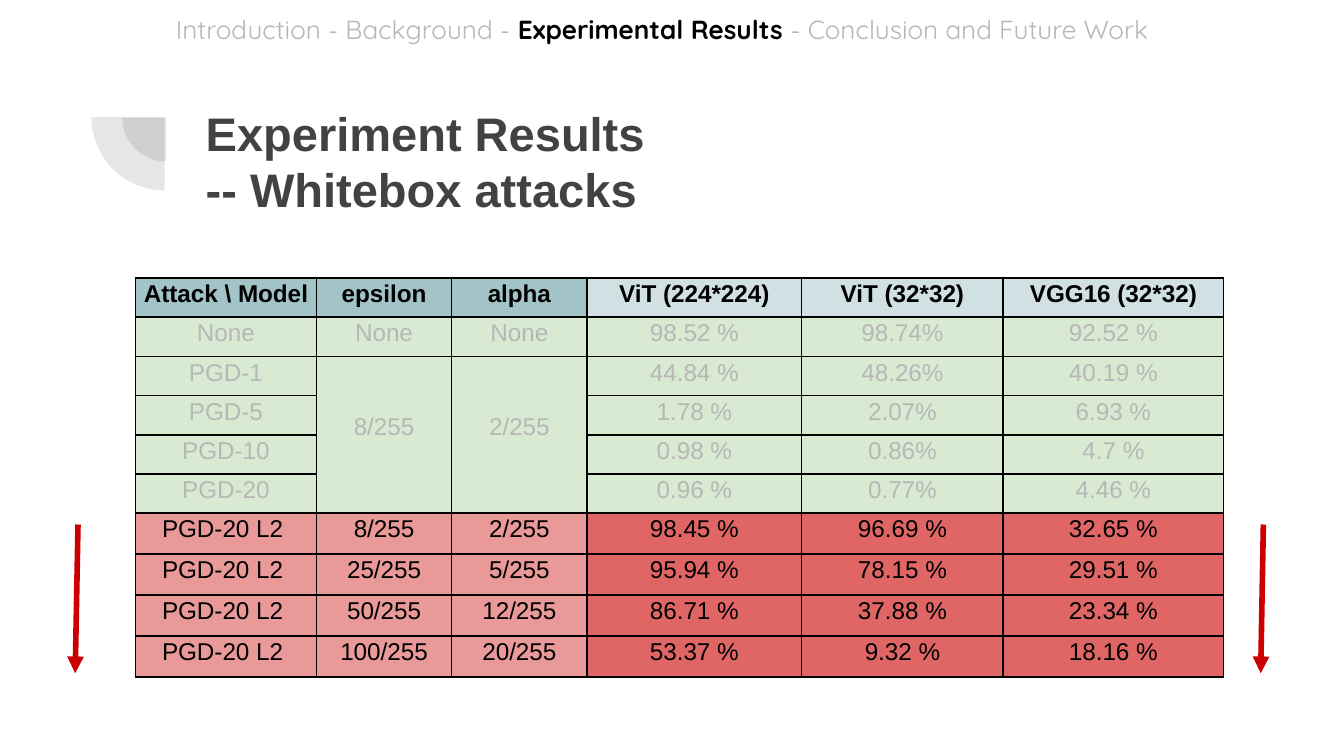
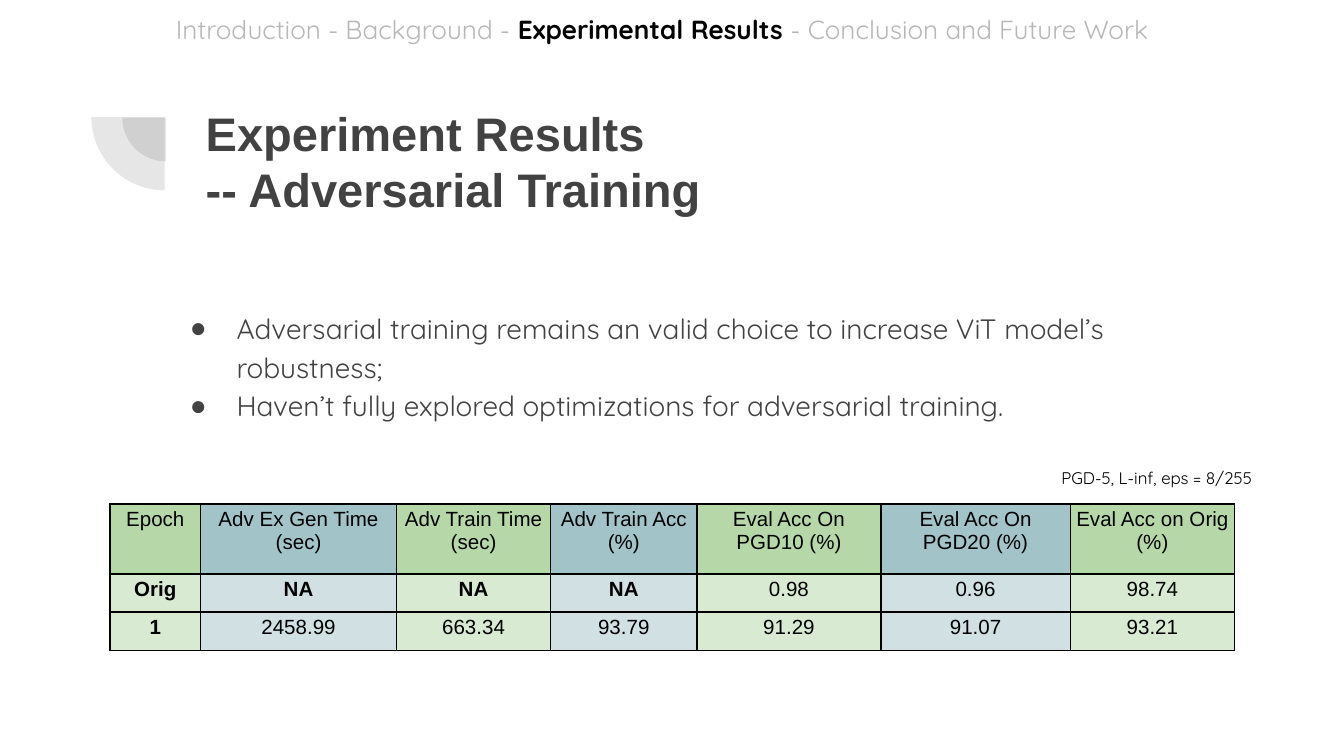
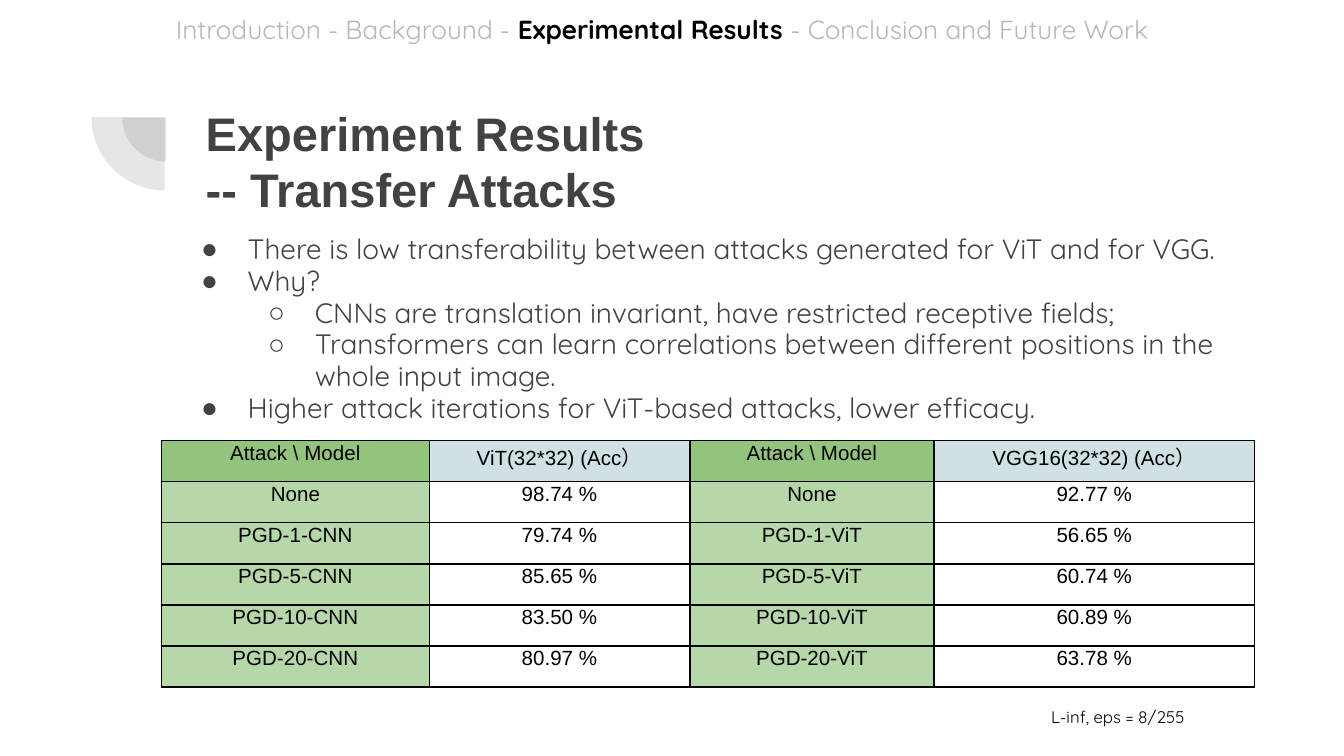
import pptx
import pptx.dml.color
import pptx.enum.shapes
import pptx.enum.text
import pptx.oxml.ns
import pptx.util
from lxml import etree

COLORS = {
    "white": "FFFFFF", "black": "000000", "charcoal": "424242", "muted": "B7B7B7",
    "teal": "A2C4C9", "mist": "D0E0E3", "sage": "D9EAD3", "leaf": "B6D7A8",
    "green": "93C47D", "pink": "EA9999", "coral": "E06666", "red": "CC0000",
}
HEADING_FONT = "Arial"
BODY_FONT = "Quicksand"
INSET = 7.2

NAVIGATION = [
    ("Introduction - Background - ", "muted", False),
    ("Experimental Results ", "black", True),
    ("- Conclusion and Future Work", "muted", False),
]
PIES = [(65.5, 39.5, 47), (49, 23.5, 78.5)]
BULLETS = ["●", "○"]

WHITEBOX_ROWS = [
    ["Attack \\ Model", "epsilon", "alpha", "ViT (224*224)", "ViT (32*32)", "VGG16 (32*32)"],
    ["None", "None", "None", "98.52 %", "98.74%", "92.52 %"],
    ["PGD-1", "8/255", "2/255", "44.84 %", "48.26%", "40.19 %"],
    ["PGD-5", "", "", "1.78 %", "2.07%", "6.93 %"],
    ["PGD-10", "", "", "0.98 %", "0.86%", "4.7 %"],
    ["PGD-20", "", "", "0.96 %", "0.77%", "4.46 %"],
    ["PGD-20 L2 ", "8/255", "2/255", "98.45 %", "96.69 %", "32.65 %"],
    ["PGD-20 L2 ", "25/255", "5/255", "95.94 %", "78.15 %", "29.51 %"],
    ["PGD-20 L2 ", "50/255", "12/255", "86.71 %", "37.88 %", "23.34 %"],
    ["PGD-20 L2 ", "100/255", "20/255", "53.37 %", "9.32 %", "18.16 %"],
]
TRAINING_ROWS = [
    ["Epoch", "Adv Ex Gen Time (sec)", "Adv Train Time (sec)", "Adv Train Acc (%)",
     "Eval Acc On PGD10 (%)", "Eval Acc On PGD20 (%)", "Eval Acc on Orig (%)"],
    ["Orig", "NA", "NA", "NA", "0.98", "0.96", "98.74"],
    ["1", "2458.99", "663.34", "93.79", "91.29", "91.07", "93.21"],
]
TRANSFER_ROWS = [
    ["Attack \\ Model", "ViT(32*32) (Acc）", "Attack \\ Model", "VGG16(32*32) (Acc）"],
    ["None", "98.74 %", "None", "92.77 %"],
    ["PGD-1-CNN", "79.74 %", "PGD-1-ViT", "56.65 %"],
    ["PGD-5-CNN", "85.65 %", "PGD-5-ViT", "60.74 %"],
    ["PGD-10-CNN", "83.50 %", "PGD-10-ViT", "60.89 %"],
    ["PGD-20-CNN", "80.97 %", "PGD-20-ViT", "63.78 %"],
]

SLIDES = [
    {
        "title": ["Experiment Results", "-- Whitebox attacks"],
        "table": {
            "rows": WHITEBOX_ROWS, "position": (72.5, 149), "size": 13, "margin": 1.5,
            "widths": [97, 72.5, 72.5, 115, 108, 118], "heights": [21] * 6 + [22] * 4,
            "fills": [["teal"] * 3 + ["mist"] * 3] + [["sage"] * 6] * 5
            + [["pink"] * 3 + ["coral"] * 3] * 4,
            "bold": WHITEBOX_ROWS[0], "muted_rows": range(1, 6),
            "merges": [(2, 1, 5, 1), (2, 2, 5, 2)],
        },
        "arrows": [(676.8, 281, 675.4, 360.7), (41.8, 281, 40.3, 360.7)],
    },
    {
        "title": ["Experiment Results", "-- Adversarial Training"],
        "body": {
            "box": (83.5, 157, 553.5, 90.5), "line_spacing": 1.15,
            "items": [
                (0, "Adversarial training remains an valid choice to increase ViT model’s robustness;"),
                (0, "Haven’t fully explored optimizations for adversarial training."),
            ],
        },
        "table": {
            "rows": TRAINING_ROWS, "position": (59, 270), "size": 11, "margin": 2.2,
            "widths": [48.5, 105, 82.5, 78.5, 98.5, 101.5, 88], "heights": [37.5, 20.5, 20.5],
            "fills": [(["leaf", "teal"] * 4)[:7]] + [(["sage", "mist"] * 4)[:7]] * 2,
            "bold": ["Orig", "NA", "1"],
        },
        "note": ("PGD-5, L-inf, eps = 8/255", 561.5, 245),
    },
    {
        "title": ["Experiment Results", "-- Transfer Attacks"],
        "body": {
            "box": (89.5, 118, 580.5, 118), "line_spacing": 0.95,
            "items": [
                (0, "There is low transferability between attacks generated for ViT and for VGG."),
                (0, "Why?"),
                (1, "CNNs are translation invariant, have restricted receptive fields;"),
                (1, "Transformers can learn correlations between different positions in the whole input image."),
                (0, "Higher attack iterations for ViT-based attacks, lower efficacy."),
            ],
        },
        "table": {
            "rows": TRANSFER_ROWS, "position": (86.5, 236), "size": 11, "margin": 0.7,
            "widths": [143.5, 139.5, 131, 171.5], "heights": [22] * 6,
            "fills": [["green", "mist"] * 2] + [["leaf", "white"] * 2] * 5,
        },
        "note": ("L-inf, eps = 8/255", 556, 373),
    },
]


def points(values):
    return [pptx.util.Pt(value) for value in values]


def rgb(name):
    return pptx.dml.color.RGBColor.from_string(COLORS[name])


def add_element(parent, tag, **attributes):
    return etree.SubElement(parent, pptx.oxml.ns.qn(tag), **attributes)


def write_text(paragraph, text, size, font=BODY_FONT, color="black", bold=False, centered=False):
    if centered:
        paragraph.alignment = pptx.enum.text.PP_ALIGN.CENTER
    run = paragraph.add_run()
    run.text = text
    run.font.size = pptx.util.Pt(size)
    run.font.name = font
    run.font.bold = bold
    run.font.color.rgb = rgb(color)


def place(shape, box):
    shape.left, shape.top, shape.width, shape.height = points(box)


def prepare_frame(shape, anchor="TOP", auto_size="NONE"):
    frame = shape.text_frame
    frame.word_wrap = True
    frame.auto_size = getattr(pptx.enum.text.MSO_AUTO_SIZE, auto_size)
    frame.vertical_anchor = getattr(pptx.enum.text.MSO_ANCHOR, anchor)
    frame.margin_left = frame.margin_right = pptx.util.Pt(INSET)
    frame.margin_top = frame.margin_bottom = pptx.util.Pt(INSET)
    return frame


def paragraphs_for(frame, items):
    for index, item in enumerate(items):
        yield (frame.add_paragraph() if index else frame.paragraphs[0]), item


def add_pies(slide):
    for left, top, side in PIES:
        pie = slide.shapes.add_shape(
            pptx.enum.shapes.MSO_SHAPE.PIE, *points((left, top, side, side)))
        pie.adjustments[0] = 108
        pie.adjustments[1] = 162
        pie.rotation = 270
        pie.shadow.inherit = False
        pie.fill.solid()
        pie.fill.fore_color.rgb = rgb("charcoal")
        pie.line.fill.background()
        color = pie._element.spPr.find(".//" + pptx.oxml.ns.qn("a:srgbClr"))
        add_element(color, "a:alpha", val="13000")


def add_title(slide, lines):
    title = slide.shapes.title
    place(title, (103, 47, 553.5, 78.5))
    for paragraph, line in paragraphs_for(prepare_frame(title, anchor="MIDDLE"), lines):
        paragraph.alignment = pptx.enum.text.PP_ALIGN.LEFT
        write_text(paragraph, line, 25.2, font=HEADING_FONT, color="charcoal", bold=True)


def add_text_box(slide, box):
    return prepare_frame(slide.shapes.add_textbox(*points(box)), auto_size="SHAPE_TO_FIT_TEXT")


def add_navigation(slide):
    paragraph = add_text_box(slide, (63.5, 0, 582.5, 31.5)).paragraphs[0]
    for text, color, bold in NAVIGATION:
        write_text(paragraph, text, 14, color=color, bold=bold, centered=True)


def add_note(slide, text, left, top):
    frame = add_text_box(slide, (left, top, 133, 25))
    write_text(frame.paragraphs[0], text, 9)


def add_body(slide, body):
    placeholder = slide.placeholders[1]
    place(placeholder, body["box"])
    for paragraph, (level, text) in paragraphs_for(prepare_frame(placeholder), body["items"]):
        paragraph.level = level
        paragraph.line_spacing = body["line_spacing"]
        paragraph.space_before = pptx.util.Pt(0)
        properties = paragraph._p.get_or_add_pPr()
        properties.set("marL", str(pptx.util.Pt(36 * (level + 1))))
        properties.set("indent", str(pptx.util.Pt(-25)))
        bullet_color = add_element(properties, "a:buClr")
        add_element(bullet_color, "a:srgbClr", val=COLORS["charcoal"])
        add_element(properties, "a:buChar", char=BULLETS[level])
        write_text(paragraph, text, 15, color="charcoal")


def format_cell(cell, fill, margin):
    cell.margin_left = cell.margin_right = pptx.util.Pt(margin)
    cell.margin_top = cell.margin_bottom = pptx.util.Pt(margin)
    properties = cell._tc.get_or_add_tcPr()
    for side in ("L", "R", "T", "B"):
        border = add_element(properties, "a:ln" + side, w=str(pptx.util.Pt(1)))
        border_fill = add_element(border, "a:solidFill")
        add_element(border_fill, "a:srgbClr", val=COLORS["black"])
    cell.fill.solid()
    cell.fill.fore_color.rgb = rgb(fill)


def add_table(slide, data):
    rows, widths, heights = data["rows"], data["widths"], data["heights"]
    box = (*data["position"], sum(widths), sum(heights))
    table = slide.shapes.add_table(len(rows), len(widths), *points(box)).table
    table.first_row = table.horz_banding = False
    for column, width in zip(table.columns, points(widths)):
        column.width = width
    for row, height in zip(table.rows, points(heights)):
        row.height = height
    for row_index, values in enumerate(rows):
        color = "muted" if row_index in data.get("muted_rows", ()) else "black"
        for column_index, text in enumerate(values):
            cell = table.cell(row_index, column_index)
            format_cell(cell, data["fills"][row_index][column_index], data["margin"])
            if text:
                write_text(cell.text_frame.paragraphs[0], text, data["size"], font=HEADING_FONT,
                           color=color, bold=text in data.get("bold", ()), centered=True)
    for top, left, bottom, right in data.get("merges", ()):
        cell = table.cell(top, left)
        cell.merge(table.cell(bottom, right))
        cell.vertical_anchor = pptx.enum.text.MSO_ANCHOR.MIDDLE
        cell.margin_bottom = pptx.util.Pt(10)


def add_arrow(slide, ends):
    arrow = slide.shapes.add_connector(
        pptx.enum.shapes.MSO_CONNECTOR.STRAIGHT, *points(ends))
    arrow.line.color.rgb = rgb("red")
    arrow.line.width = pptx.util.Pt(3)
    add_element(arrow.line._get_or_add_ln(), "a:tailEnd", type="triangle")
    add_element(arrow._element.spPr, "a:effectLst")


def main():
    presentation = pptx.Presentation()
    presentation.slide_width, presentation.slide_height = points((720, 405))
    for content in SLIDES:
        layout = presentation.slide_layouts[1 if "body" in content else 5]
        slide = presentation.slides.add_slide(layout)
        add_pies(slide)
        add_title(slide, content["title"])
        if "body" in content:
            add_body(slide, content["body"])
        add_navigation(slide)
        add_table(slide, content["table"])
        if "note" in content:
            add_note(slide, *content["note"])
        for ends in content.get("arrows", ()):
            add_arrow(slide, ends)
    presentation.save("out.pptx")


if __name__ == "__main__":
    main()
